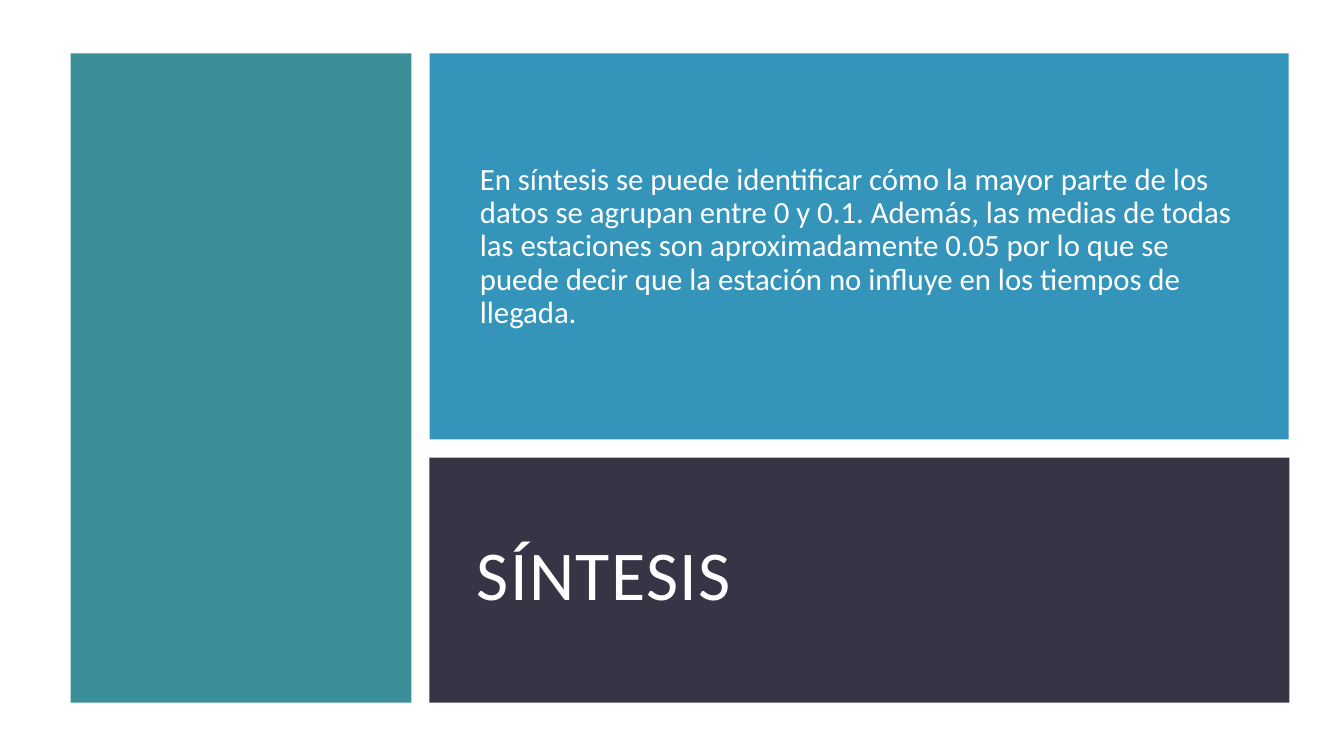
from dataclasses import dataclass

from pptx import Presentation
from pptx import util as u
from pptx.dml.color import RGBColor
from pptx.enum import shapes, text

COLORS = {"white": "FFFFFF", "teal": "3A8F98", "blue": "3494BA", "dark": "373545"}
FONT = "Calibri"
SYNTHESIS = (
    "En síntesis se puede identificar cómo la mayor parte de los datos se agrupan "
    "entre 0 y 0.1. Además, las medias de todas las estaciones son aproximadamente "
    "0.05 por lo que se puede decir que la estación no influye en los tiempos de llegada."
)


@dataclass(frozen=True)
class Panel:
    left: float
    top: float
    width: float
    height: float
    color: str


PANELS = [
    Panel(0, 0, 13.33, 7.5, "white"),
    Panel(0.7, 0.53, 3.38, 6.44, "teal"),
    Panel(4.26, 0.53, 8.52, 3.83, "blue"),
    Panel(4.26, 4.54, 8.53, 2.43, "dark"),
]


def rgb(name: str) -> RGBColor:
    return RGBColor.from_string(COLORS[name])


def draw_panel(slide, panel: Panel) -> None:
    block = slide.shapes.add_shape(
        shapes.MSO_SHAPE.RECTANGLE,
        u.Inches(panel.left), u.Inches(panel.top),
        u.Inches(panel.width), u.Inches(panel.height),
    )
    block.shadow.inherit = False
    block.fill.solid()
    block.fill.fore_color.rgb = rgb(panel.color)
    block.line.fill.background()


def write(frame, wording: str, size: float, line_spacing: float):
    frame.word_wrap = True
    frame.auto_size = text.MSO_AUTO_SIZE.NONE
    frame.vertical_anchor = text.MSO_ANCHOR.MIDDLE
    paragraph = frame.paragraphs[0]
    paragraph.alignment = text.PP_ALIGN.LEFT
    paragraph.line_spacing = line_spacing
    paragraph.space_before = u.Pt(0)
    run = paragraph.add_run()
    run.text = wording
    run.font.name = FONT
    run.font.size = u.Pt(size)
    run.font.color.rgb = rgb("white")
    return paragraph, run


def write_heading(slide) -> None:
    heading = slide.shapes.title
    heading.left, heading.top = u.Inches(4.63), u.Inches(4.89)
    heading.width, heading.height = u.Inches(7.8), u.Inches(1.73)
    _, run = write(heading.text_frame, "SÍNTESIS", 50, 0.8)
    run.font._element.set("spc", "100")
    slide.shapes._spTree.append(heading._element)


def write_synthesis(slide) -> None:
    synthesis = slide.shapes.add_textbox(
        u.Inches(4.61), u.Inches(0.88), u.Inches(7.83), u.Inches(3.14)
    )
    frame = synthesis.text_frame
    frame.margin_left = frame.margin_right = u.Inches(0.05)
    frame.margin_top = frame.margin_bottom = u.Inches(0.05)
    paragraph, _ = write(frame, SYNTHESIS, 22, 0.9)
    paragraph.space_after = u.Pt(2)
    paragraph._p.get_or_add_pPr().set("marL", str(u.Inches(0.1)))


def main() -> None:
    deck = Presentation()
    deck.slide_width, deck.slide_height = u.Inches(13.33), u.Inches(7.5)
    slide = deck.slides.add_slide(deck.slide_layouts[5])
    slide.background.fill.solid()
    slide.background.fill.fore_color.rgb = rgb("dark")
    for panel in PANELS:
        draw_panel(slide, panel)
    write_heading(slide)
    write_synthesis(slide)
    deck.save("out.pptx")


if __name__ == "__main__":
    main()
